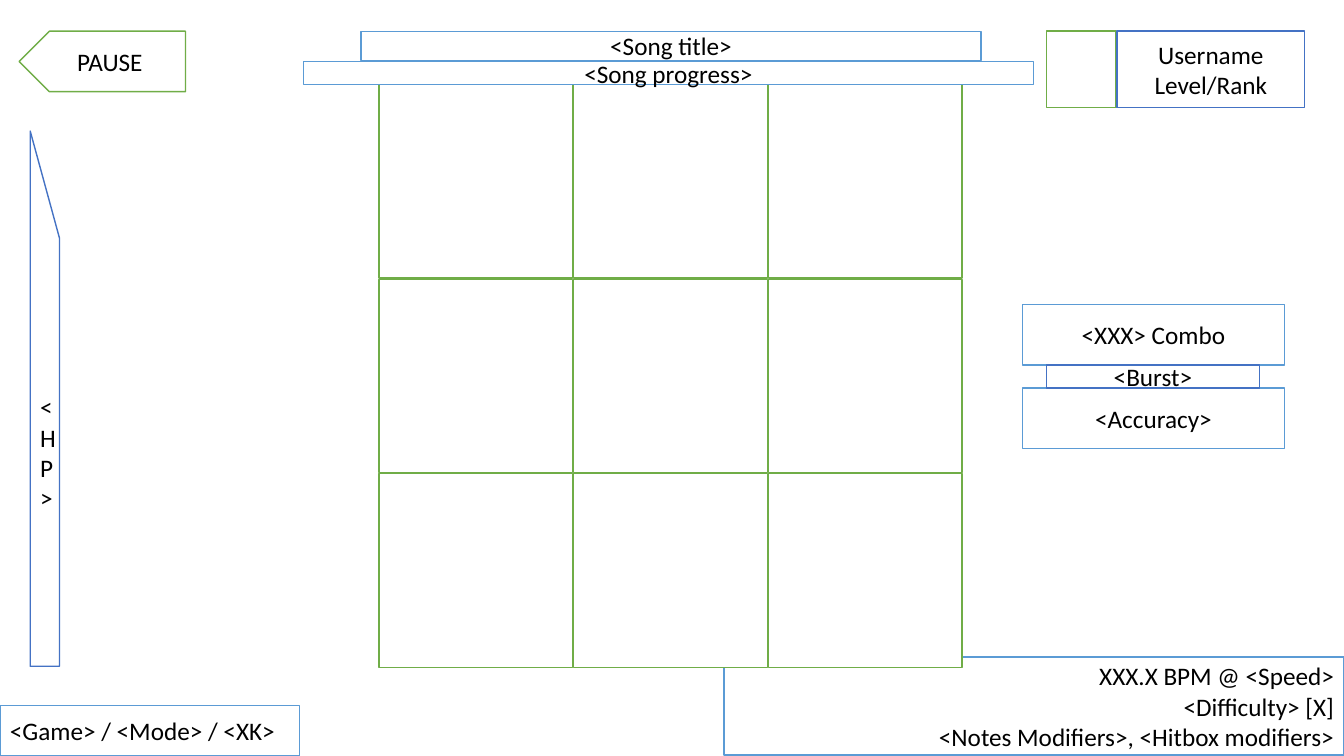
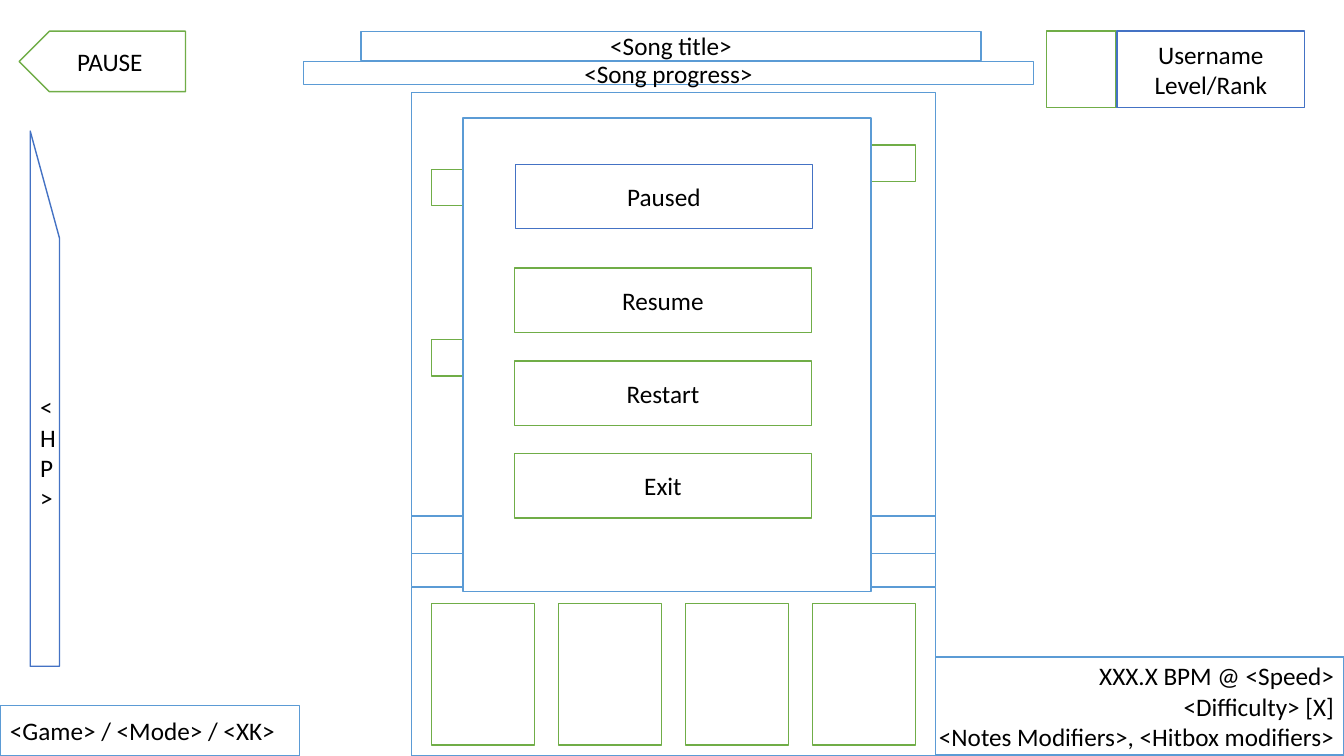
from pptx import Presentation
from pptx.dml.color import RGBColor
from pptx.enum.shapes import MSO_SHAPE
from pptx.enum.text import MSO_ANCHOR, PP_ALIGN
from pptx.util import Inches, Pt

RECTANGLE = MSO_SHAPE.RECTANGLE
ARROW = MSO_SHAPE.PENTAGON
GAUGE = MSO_SHAPE.FLOWCHART_MANUAL_INPUT
LEFT, CENTER, RIGHT = PP_ALIGN.LEFT, PP_ALIGN.CENTER, PP_ALIGN.RIGHT
MIDDLE = MSO_ANCHOR.MIDDLE

COLORS = {"paper": "FFFFFF", "ink": "000000", "sky": "5B9BD5", "blue": "4472C4", "green": "70AD47"}
FONT, TEXT_SIZE, LINE_WIDTH = "Calibri", 18, 1
WIDTH, HEIGHT = 13.33, 7.5

STATS = "XXX.X BPM @ <Speed>\v<Difficulty> [X]\v<Notes Modifiers>, <Hitbox modifiers>"
BADGE_TOP, BADGE_HEIGHT = 0.31, 0.76

HUD = [
    dict(at=(0.19, 0.31, 1.65, 0.6), line="green", text="PAUSE", kind=ARROW, flip=True),
    dict(at=(10.38, BADGE_TOP, 0.69, BADGE_HEIGHT), line="green"),
    dict(at=(11.08, BADGE_TOP, 1.86, BADGE_HEIGHT), line="blue", text="Username\vLevel/Rank"),
    dict(at=(0, 7, 2.97, 0.5), line="sky", text="<Game> / <Mode> / <XK>", align=LEFT),
    dict(at=(3.58, 0.31, 6.15, 0.29), line="sky", text="<Song title>", filled=False),
    dict(at=(3.01, 0.61, 7.24, 0.23), line="sky", text="<Song progress>", filled=False),
    dict(at=(0.3, 1.3, 0.29, 5.31), line="blue", text="<HP>", kind=GAUGE, flip=True, filled=False),
]
SCORES = [
    dict(at=(10.14, 3.02, 2.6, 0.6), line="sky", text="<XXX> Combo", filled=False),
    dict(at=(10.14, 3.85, 2.6, 0.6), line="sky", text="<Accuracy>", filled=False),
    dict(at=(10.38, 3.62, 2.11, 0.23), line="blue", text="<Burst>", filled=False),
]

GRID_LEFT, GRID_TOP, GRID_COUNT = 3.76, 0.84, 3
CELL, CELL_PITCH = 1.92, 1.93

LANE_LEFT, LANE_WIDTH = 4.08, 5.2
LANE_BANDS = [(5.83, 1.67), (0.92, 4.9), (5.12, 0.37)]
KEY_LEFT, KEY_PITCH, KEY_WIDTH, KEY_COUNT = 4.28, 1.26, 1.02, 4
KEY_TOP, KEY_HEIGHT, NOTE_HEIGHT = 5.99, 1.4, 0.36
NOTES = [(0, 3.37), (3, 1.44), (0, 1.68)]

DIALOG = (4.59, 1.17, 4.05, 4.7)
BUTTON_LEFT, BUTTON_WIDTH, BUTTON_HEIGHT = 5.1, 2.95, 0.64
DIALOG_TITLE_TOP, BUTTON_TOP, BUTTON_PITCH = 1.63, 2.66, 0.92
BUTTONS = ["Resume", "Restart", "Exit"]


def color(name):
    return RGBColor.from_string(COLORS[name])


def add_box(holder, at, line, text="", kind=RECTANGLE, align=CENTER, flip=False, filled=True):
    box = holder.shapes.add_shape(kind, *map(Inches, at))
    box.shadow.inherit = False
    if filled:
        box.fill.solid()
        box.fill.fore_color.rgb = color("paper")
    else:
        box.fill.background()
    box.line.color.rgb = color(line)
    box.line.width = Pt(LINE_WIDTH)
    if flip:
        box._element.spPr.xfrm.set("flipH", "1")
    if text:
        frame = box.text_frame
        frame.word_wrap = True
        frame.vertical_anchor = MIDDLE
        frame.text = text
        paragraph = frame.paragraphs[0]
        paragraph.alignment = align
        paragraph.font.name = FONT
        paragraph.font.size = Pt(TEXT_SIZE)
        paragraph.font.color.rgb = color("ink")


def add_note_grid(page):
    group = page.shapes.add_group_shape()
    for column in range(GRID_COUNT):
        for row in range(GRID_COUNT):
            left = GRID_LEFT + column * CELL_PITCH
            top = GRID_TOP + row * CELL_PITCH
            add_box(group, (left, top, CELL, CELL), "green")


def add_lanes(page):
    for top, height in LANE_BANDS:
        add_box(page, (LANE_LEFT, top, LANE_WIDTH, height), "sky")
    keys = [(column, KEY_TOP, KEY_HEIGHT) for column in range(KEY_COUNT)]
    notes = [(column, top, NOTE_HEIGHT) for column, top in NOTES]
    for column, top, height in keys + notes:
        add_box(page, (KEY_LEFT + column * KEY_PITCH, top, KEY_WIDTH, height), "green")


def add_scores(page):
    for score in SCORES:
        add_box(page, **score)


def add_pause_dialog(page):
    add_box(page, DIALOG, "sky")
    add_box(page, (BUTTON_LEFT + 0.01, DIALOG_TITLE_TOP, BUTTON_WIDTH, BUTTON_HEIGHT), "blue", "Paused")
    for index, label in enumerate(BUTTONS):
        top = BUTTON_TOP + index * BUTTON_PITCH
        add_box(page, (BUTTON_LEFT, top, BUTTON_WIDTH, BUTTON_HEIGHT), "green", label)


deck = Presentation()
deck.slide_width, deck.slide_height = Inches(WIDTH), Inches(HEIGHT)
for add_playfield, add_overlay in [(add_note_grid, add_scores), (add_lanes, add_pause_dialog)]:
    page = deck.slides.add_slide(deck.slide_layouts[6])
    add_box(page, (7.18, 6.52, 6.15, 0.97), "sky", STATS, align=RIGHT)
    add_playfield(page)
    for part in HUD:
        add_box(page, **part)
    add_overlay(page)
deck.save("out.pptx")
